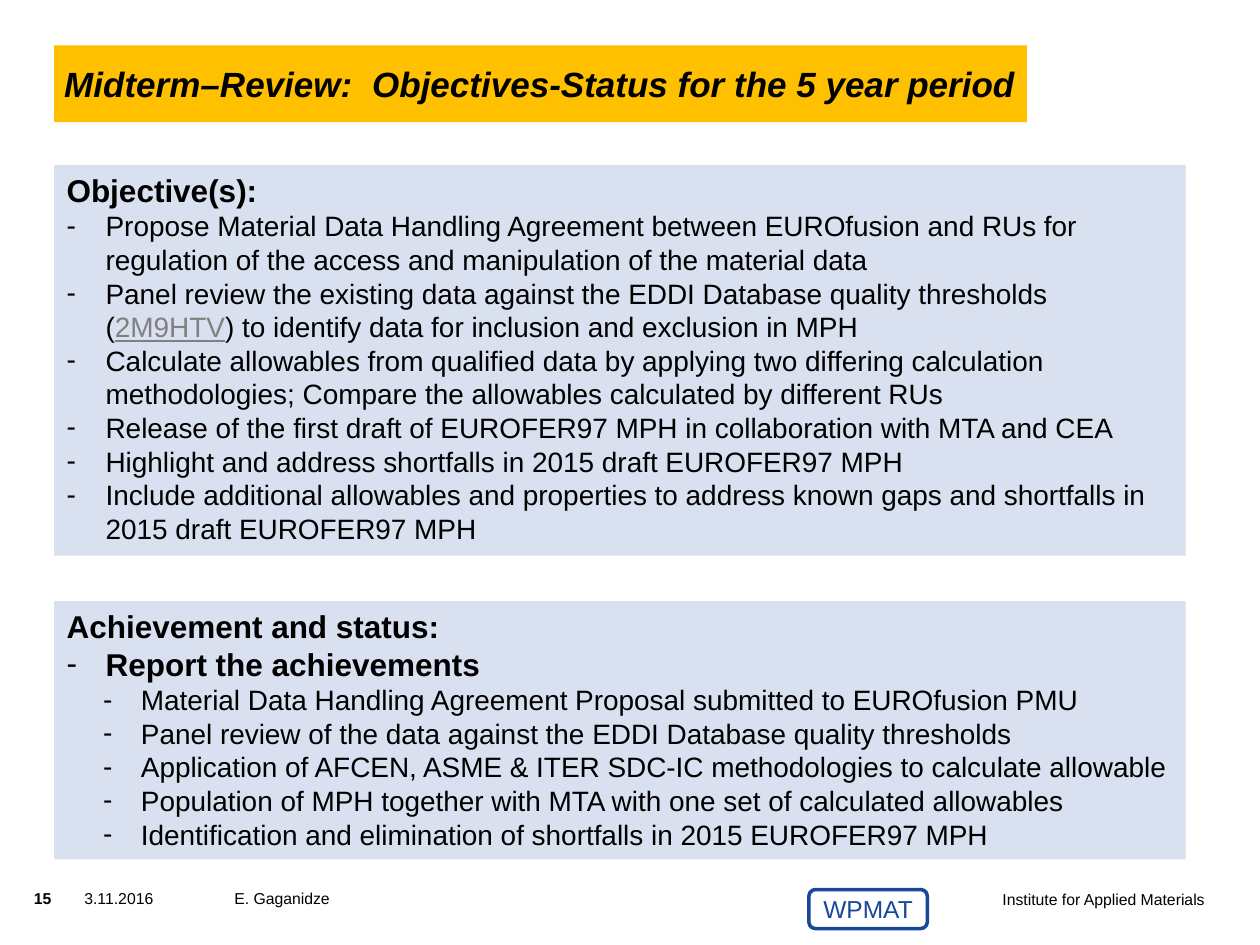
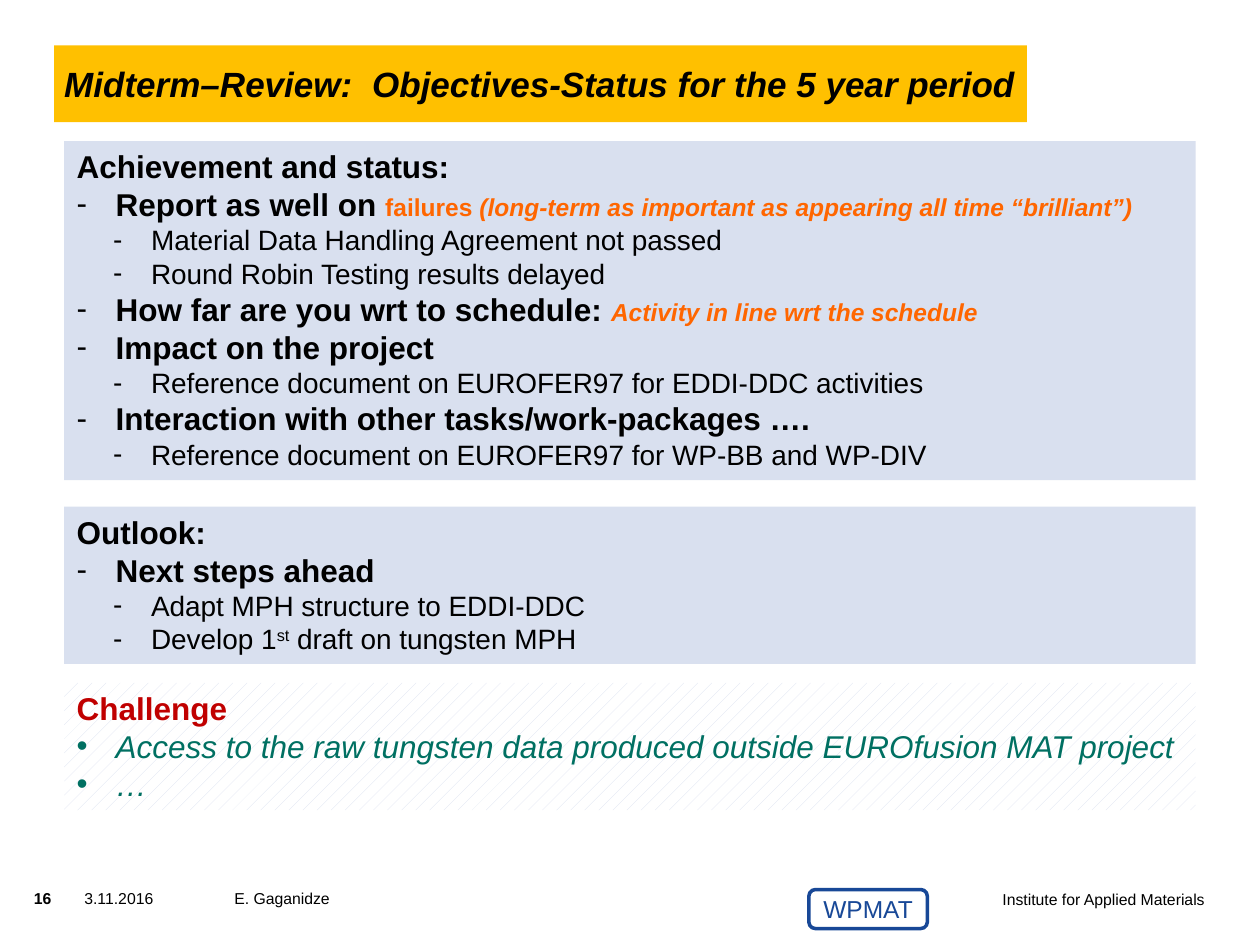
import pptx
import pptx.dml.color
import pptx.enum.dml
import pptx.enum.shapes
import pptx.enum.text
import pptx.oxml
import pptx.oxml.ns
import pptx.util

COLUMNS, ROWS = 100, 75
FONT = "Arial"
BLACK, NAVY, ORANGE = "000000", "184897", "FF6600"
AMBER, PALE_BLUE, WHITE = "FFC000", "D9E0EF", "FFFFFF"

STYLES = {
    "footer": dict(size=9),
    "number": dict(size=9, bold=True),
    "badge": dict(size=14, color=NAVY),
    "title": dict(size=20, bold=True, italic=True),
    "wide gap": dict(size=20, bold=True, italic=True, spacing=556),
    "heading": dict(size=18, bold=True),
    "body": dict(size=16),
    "reference": dict(size=16, color="808080", underline=True),
    "ordinal": dict(size=16, baseline=30000),
    "remark": dict(size=14, bold=True, color=ORANGE),
    "remark italic": dict(size=14, bold=True, italic=True, color=ORANGE),
    "challenge": dict(size=18, bold=True, color="C00000"),
    "issue": dict(size=18, italic=True, color="007062"),
}
INDENTS = [(0.31, -0.31), (0.59, -0.3)]


def rgb(value):
    return pptx.dml.color.RGBColor.from_string(value)


def heading(text, style="heading"):
    return dict(runs=[(text, style)])


def topic(text, *remarks):
    return dict(runs=[(text, "heading"), *remarks], bullet="-")


def point(*runs, level=0):
    runs = [(run, "body") if isinstance(run, str) else run for run in runs]
    return dict(runs=runs, bullet="-", level=level)


def detail(*runs):
    return point(*runs, level=1)


def issue(text):
    return dict(runs=[(text, "issue")], bullet="•")


class Deck:
    def __init__(self):
        self.presentation = pptx.Presentation()
        self.presentation.slide_width = pptx.util.Inches(10)
        self.presentation.slide_height = pptx.util.Inches(7.5)
        self.slide = None

    def place(self, left, top, width, height):
        column = self.presentation.slide_width / COLUMNS
        row = self.presentation.slide_height / ROWS
        return [round(n * unit) for n, unit in
                zip((left, top, width, height), (column, row, column, row))]

    def fill_text(self, frame, paragraphs, align="LEFT"):
        frame.word_wrap = True
        for index, content in enumerate(paragraphs):
            paragraph = frame.paragraphs[0] if index == 0 else frame.add_paragraph()
            paragraph.alignment = getattr(pptx.enum.text.PP_ALIGN, align)
            if "bullet" in content:
                self.bullet(paragraph, content["bullet"], content.get("level", 0))
            for text, style in content["runs"]:
                self.add_run(paragraph, text, **STYLES[style])

    def bullet(self, paragraph, mark, level):
        paragraph.level = level
        properties = paragraph._p.get_or_add_pPr()
        margin, indent = INDENTS[level]
        properties.set("marL", str(pptx.util.Inches(margin)))
        properties.set("indent", str(pptx.util.Inches(indent)))
        for tag, name, value in (("buFont", "typeface", FONT), ("buChar", "char", mark)):
            properties.append(pptx.oxml.parse_xml(
                f'<a:{tag} {pptx.oxml.ns.nsdecls("a")} {name}="{value}"/>'))

    def add_run(self, paragraph, text, size, color=BLACK, bold=False, italic=False,
                underline=False, baseline=None, spacing=None):
        run = paragraph.add_run()
        run.text = text
        font = run.font
        font.name, font.size = FONT, pptx.util.Pt(size)
        font.bold, font.italic, font.underline = bold, italic, underline
        font.color.rgb = rgb(color)
        for name, value in (("baseline", baseline), ("spc", spacing)):
            if value:
                run._r.get_or_add_rPr().set(name, str(value))

    def label(self, place, text, style="footer", align="LEFT"):
        frame = self.slide.shapes.add_textbox(*self.place(*place)).text_frame
        frame.margin_left = frame.margin_right = frame.margin_top = frame.margin_bottom = 0
        self.fill_text(frame, [heading(text, style)], align)

    def box(self, place, fill=None, line=None, kind="RECTANGLE", anchor="TOP"):
        shape = self.slide.shapes.add_shape(
            getattr(pptx.enum.shapes.MSO_SHAPE, kind), *self.place(*place))
        shape.shadow.inherit = False
        if fill:
            shape.fill.solid()
            shape.fill.fore_color.rgb = rgb(fill)
        else:
            shape.fill.background()
        if line:
            shape.line.color.rgb = rgb(line)
            shape.line.width = pptx.util.Pt(2)
        else:
            shape.line.fill.background()
        shape.text_frame.vertical_anchor = getattr(pptx.enum.text.MSO_ANCHOR, anchor)
        return shape

    def title(self, runs):
        band = self.box((4.3, 3.6, 77.2, 6.1), AMBER, anchor="MIDDLE")
        frame = band.text_frame
        frame.margin_left = pptx.util.Inches(0.08)
        frame.margin_right = frame.margin_top = frame.margin_bottom = 0
        self.fill_text(frame, [dict(runs=runs)])

    def panel(self, left, top, height, paragraphs, dotted=False):
        panel = self.box((left, top, 89.8, height), PALE_BLUE)
        if dotted:
            panel.fill.patterned()
            panel.fill.pattern = pptx.enum.dml.MSO_PATTERN.PERCENT_10
            panel.fill.fore_color.rgb = rgb(PALE_BLUE)
            panel.fill.back_color.rgb = rgb(WHITE)
        panel.text_frame.auto_size = pptx.enum.text.MSO_AUTO_SIZE.SHAPE_TO_FIT_TEXT
        self.fill_text(panel.text_frame, paragraphs)

    def review_slide(self, number):
        self.slide = self.presentation.slides.add_slide(self.presentation.slide_layouts[6])
        self.label((65.7, 70.6, 29.9, 3.9), "Institute for Applied Materials", align="RIGHT")
        self.label((2.7, 70.5, 3.6, 2.4), str(number), "number")
        self.label((6.7, 70.5, 9.4, 3.9), "3.11.2016")
        self.label((18.6, 70.5, 18, 3.9), "E. Gaganidze")
        badge = self.box((64.2, 70.6, 9.4, 3.1), line=NAVY,
                         kind="ROUNDED_RECTANGLE", anchor="MIDDLE")
        self.fill_text(badge.text_frame, [heading("WPMAT", "badge")], "CENTER")
        self.title([("Midterm–Review:", "title"), (" ", "wide gap"),
                    ("Objectives-Status for the 5 year period", "title")])


def main():
    deck = Deck()

    deck.review_slide(15)
    deck.panel(4.3, 13.1, 31, [
        heading("Objective(s):"),
        point("Propose Material Data Handling Agreement between EUROfusion and RUs for "
              "regulation of the access and manipulation of the material data"),
        point("Panel review the existing data against the EDDI Database quality thresholds (",
              ("2M9HTV", "reference"),
              ") to identify data for inclusion and exclusion in MPH"),
        point("Calculate allowables from qualified data by applying two differing calculation "
              "methodologies; Compare the allowables calculated by different RUs"),
        point("Release of the first draft of EUROFER97 MPH in collaboration with MTA and CEA"),
        point("Highlight and address shortfalls in 2015 draft EUROFER97 MPH"),
        point("Include additional allowables and properties to address known gaps and "
              "shortfalls in 2015 draft EUROFER97 MPH"),
    ])
    deck.panel(4.3, 47.7, 20.5, [
        heading("Achievement and status:"),
        topic("Report the achievements"),
        detail("Material Data Handling Agreement Proposal submitted to EUROfusion PMU"),
        detail("Panel review of the data against the EDDI Database quality thresholds"),
        detail("Application of AFCEN, ASME & ITER SDC-IC methodologies to calculate allowable"),
        detail("Population of MPH together with MTA with one set of calculated allowables"),
        detail("Identification and elimination of shortfalls in 2015 EUROFER97 MPH"),
    ])

    deck.review_slide(16)
    deck.panel(5.1, 11.2, 26.9, [
        heading("Achievement and status:"),
        topic("Report as well on ", ("failures ", "remark"),
              ("(long-term as important as appearing all time “brilliant”)", "remark italic")),
        detail("Material Data Handling Agreement not passed"),
        detail("Round Robin Testing results delayed"),
        topic("How far are you wrt to schedule: ",
              ("Activity in line wrt the schedule", "remark italic")),
        topic("Impact on the project"),
        detail("Reference document on EUROFER97 for EDDI-DDC activities"),
        topic("Interaction with other tasks/work-packages …."),
        detail("Reference document on EUROFER97 for WP-BB and WP-DIV"),
    ])
    deck.panel(5.1, 40.2, 12.5, [
        heading("Outlook:"),
        topic("Next steps ahead"),
        detail("Adapt MPH structure to EDDI-DDC"),
        detail("Develop 1", ("st", "ordinal"), " draft on tungsten MPH"),
    ])
    deck.panel(5.1, 54.2, 10.1, [
        heading("Challenge", "challenge"),
        issue("Access to the raw tungsten data produced outside EUROfusion MAT project"),
        issue("…"),
    ], dotted=True)

    deck.presentation.save("out.pptx")


if __name__ == "__main__":
    main()
